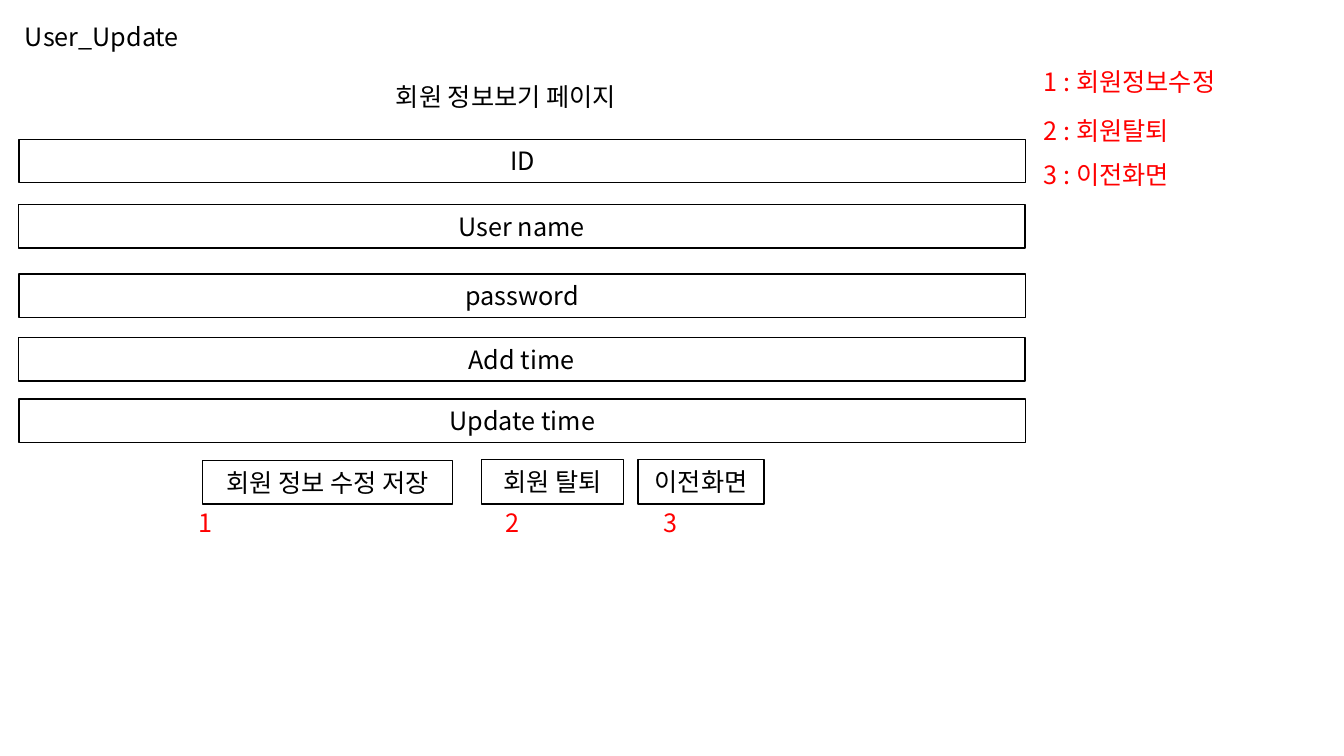
import pptx
import pptx.util
import pptx.dml.color
import pptx.enum.shapes
import pptx.enum.text
import pptx.oxml
import pptx.oxml.ns

Cm = pptx.util.Cm
RGBColor = pptx.dml.color.RGBColor
PP_ALIGN = pptx.enum.text.PP_ALIGN
MSO_ANCHOR = pptx.enum.text.MSO_ANCHOR

BLACK = RGBColor(0, 0, 0)
WHITE = RGBColor(255, 255, 255)
RED = RGBColor(255, 0, 0)
FONT = "Noto Sans CJK KR"
FONT_FORMAT = {"name": FONT, "size": pptx.util.Pt(18)}
LABEL_FORMAT = {"word_wrap": True,
                "auto_size": pptx.enum.text.MSO_AUTO_SIZE.SHAPE_TO_FIT_TEXT}
FRAME_FORMAT = {"word_wrap": True, "vertical_anchor": MSO_ANCHOR.MIDDLE}
LABEL_H = 1.02


def apply(target, formats):
    for name, value in formats.items():
        setattr(target, name, value)


def write(sp, text, frame_format, color, align):
    tf = sp.text_frame
    apply(tf, frame_format)
    p = tf.paragraphs[0]
    p.alignment = align
    r = p.add_run()
    r.text = text
    apply(r.font, FONT_FORMAT)
    r.font.color.rgb = color
    # Hangul takes its typeface from a:ea
    ea = pptx.oxml.parse_xml(
        f'<a:ea {pptx.oxml.ns.nsdecls("a")} typeface="{FONT}"/>')
    r.font._element.append(ea)


def add_label(s, box, text, color=BLACK):
    sp = s.shapes.add_textbox(*map(Cm, box))
    write(sp, text, LABEL_FORMAT, color, PP_ALIGN.LEFT)


def add_frame(s, box, text):
    sp = s.shapes.add_shape(
        pptx.enum.shapes.MSO_SHAPE.RECTANGLE, *map(Cm, box))
    sp.shadow.inherit = False
    sp.fill.solid()
    sp.fill.fore_color.rgb = WHITE
    sp.line.color.rgb = BLACK
    sp.line.width = pptx.util.Pt(1)
    write(sp, text, FRAME_FORMAT, BLACK, PP_ALIGN.CENTER)


def add_headings(s, box):
    left, top, width, _ = box
    add_label(s, (left, top, 8.71, LABEL_H), "User_Update")
    add_label(s, (left + 9.35, top + 1.52, width - 9.35, LABEL_H),
              "회원 정보보기 페이지")


def add_fields(s, box):
    left, top, width, _ = box
    fields = [(0.02, 0, "ID"), (0, 1.65, "User name"), (0.02, 3.4, "password"),
              (0, 5, "Add time"), (0.02, 6.55, "Update time")]
    for dx, dy, text in fields:
        add_frame(s, (left + dx, top + dy, width, 1.09), text)


def add_buttons(s, box):
    left, top, _, height = box
    # Button offset, top offset, width, text; number offset, top offset, width
    buttons = [(0, 0.03, 6.3, "회원 정보 수정 저장", -0.36, 1.07, 1.14),
               (7.03, 0, 3.58, "회원 탈퇴", 7.39, 1.09, 1.32),
               (10.97, 0, 3.18, "이전화면", 11.37, 1.07, 1.32)]
    for number, (dx, dy, width, text, nx, ny, nw) in enumerate(buttons, 1):
        add_frame(s, (left + dx, top + dy, width, height - dy), text)
        add_label(s, (left + nx, top + ny, nw, LABEL_H), str(number), RED)


def add_legend(s, box):
    left, top, width, _ = box
    entries = [(0, "회원정보수정"), (1.24, "회원탈퇴"), (2.34, "이전화면")]
    for number, (dy, text) in enumerate(entries, 1):
        add_label(s, (left, top + dy, width, LABEL_H),
                  f"{number} : {text}", RED)


prs = pptx.Presentation()
prs.slide_width, prs.slide_height = Cm(33.87), Cm(19.05)
s = prs.slides.add_slide(prs.slide_layouts[6])

add_headings(s, (0.38, 0.41, 16.23, 2.54))
add_fields(s, (0.46, 3.51, 25.37, 7.64))
add_buttons(s, (5.11, 11.58, 14.15, 1.12))
add_legend(s, (26.06, 1.55, 7.42, 3.36))

prs.save("out.pptx")
